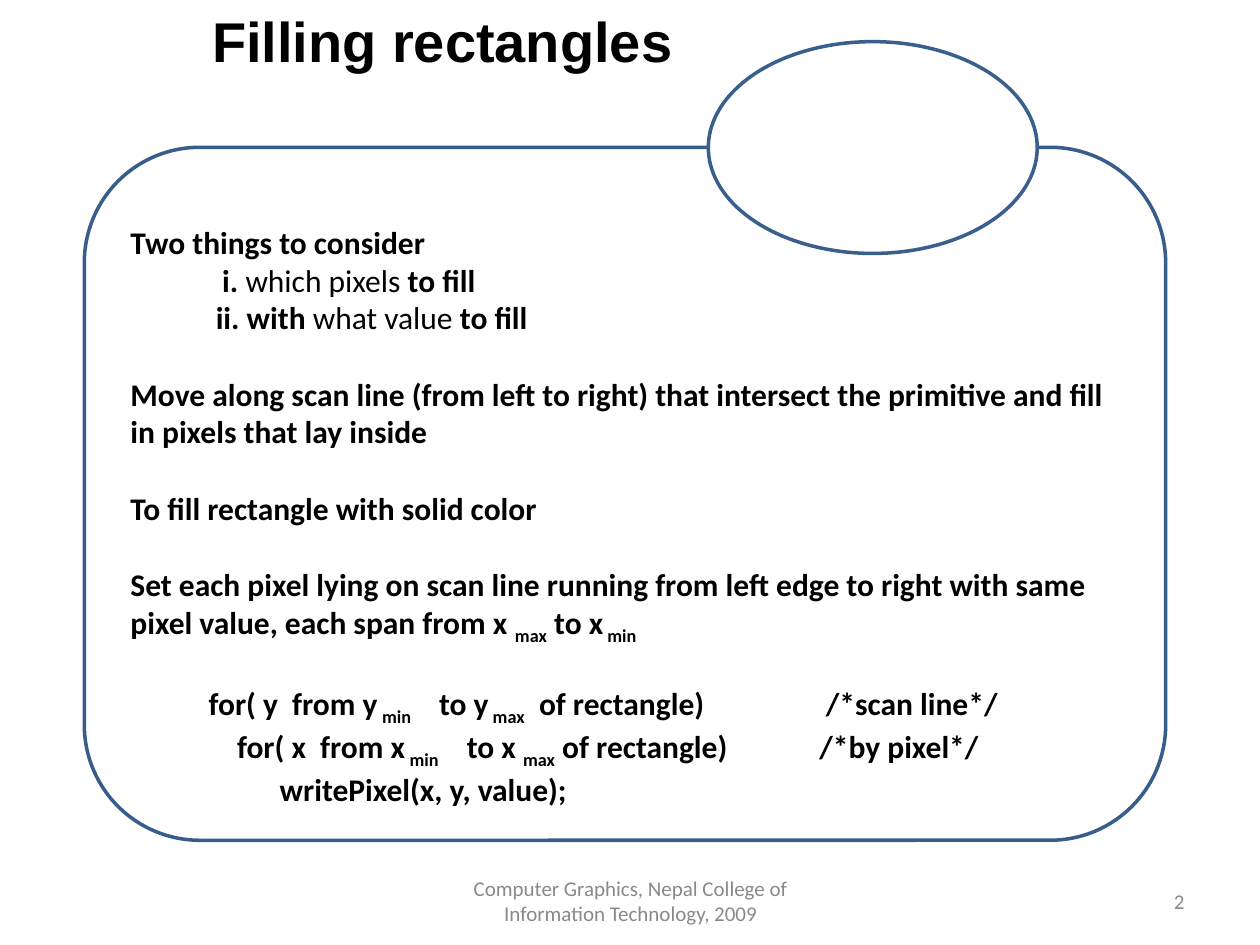
from dataclasses import dataclass

import pptx
import pptx.dml.color
import pptx.enum.shapes
import pptx.enum.text
import pptx.oxml.ns
import pptx.util
from lxml import etree
from pptx.util import Cm, Pt

SHAPE = pptx.enum.shapes.MSO_SHAPE
ANCHOR = pptx.enum.text.MSO_ANCHOR
ALIGN = pptx.enum.text.PP_ALIGN
qn = pptx.oxml.ns.qn


@dataclass(frozen=True)
class Theme:
    ink: str = "000000"
    muted: str = "898989"
    paper: str = "FFFFFF"
    frame: str = "385D8A"
    bubble: str = "3A5F8C"
    heading_font: str = "Arial"
    body_font: str = "Calibri"
    title: int = 32
    body: int = 18
    footer: int = 12
    line: int = 2
    gap: int = 22


THEME = Theme()
BOLD, PLAIN, SUB = "bold", "plain", "sub"

# Each entry: gap above, left indent in cm, tab stops in cm, runs
BODY = [
    (False, 0, [], [("Two things to consider", BOLD)]),
    (False, 1.85, [], [("i. ", BOLD), ("which pixels", PLAIN), (" to fill", BOLD)]),
    (False, 1.72, [], [("ii. with ", BOLD), ("what value", PLAIN), (" to fill", BOLD)]),
    (True, 0, [], [("Move along scan line (from left to right) that intersect "
                    "the primitive and fill in pixels that lay inside", BOLD)]),
    (True, 0, [], [("To fill rectangle with solid color", BOLD)]),
    (True, 0, [], [("Set each pixel lying on scan line running from left edge "
                    "to right with same", BOLD)]),
    (False, 0, [], [("pixel value, each span from x ", BOLD), ("max", SUB),
                    (" to x", BOLD), (" min", SUB)]),
    (True, 0, [6.22, 14.02], [("           for( y  from y", BOLD), (" min", SUB),
                              ("\tto y", BOLD), (" max", SUB),
                              ("  of rectangle)\t/*scan line*/", BOLD)]),
    (False, 0, [6.78, 13.89], [("               for( x  from x", BOLD), (" min", SUB),
                               ("\tto x ", BOLD), ("max", SUB),
                               (" of rectangle)\t/*by pixel*/", BOLD)]),
    (False, 0, [], [("                     writePixel(x, y, value);", BOLD)]),
]


def rgb(value):
    return pptx.dml.color.RGBColor.from_string(value)


def style(r, font, size, color, bold=False):
    r.font.name = font
    r.font.size = Pt(size)
    r.font.bold = bold
    r.font.color.rgb = rgb(color)


def outline(sp, color):
    sp.shadow.inherit = False
    sp.line.color.rgb = rgb(color)
    sp.line.width = Pt(THEME.line)


def add_title(s, box, text):
    sp = s.shapes.title
    sp.left, sp.top, sp.width, sp.height = box
    tf = sp.text_frame
    tf.text = text
    tf.word_wrap = False
    tf.auto_size = pptx.enum.text.MSO_AUTO_SIZE.SHAPE_TO_FIT_TEXT
    tf.vertical_anchor = ANCHOR.TOP
    p = tf.paragraphs[0]
    p.alignment = ALIGN.LEFT
    style(p.runs[0], THEME.heading_font, THEME.title, THEME.ink, True)


def add_body(s, box):
    sp = s.shapes.add_shape(SHAPE.ROUNDED_RECTANGLE, *box)
    sp.fill.background()
    outline(sp, THEME.frame)
    tf = sp.text_frame
    tf.word_wrap = True
    tf.vertical_anchor = ANCHOR.TOP
    tf.margin_top = Cm(0.84)
    for i, (gap, indent, stops, runs) in enumerate(BODY):
        p = tf.add_paragraph() if i else tf.paragraphs[0]
        p.alignment = ALIGN.LEFT
        p.space_before = Pt(THEME.gap if gap else 0)
        pPr = p._p.get_or_add_pPr()
        pPr.set("marL", str(Cm(indent)))
        if stops:
            tabs = etree.SubElement(pPr, qn("a:tabLst"))
            for stop in stops:
                etree.SubElement(tabs, qn("a:tab"), pos=str(Cm(stop)), algn="l")
        for text, kind in runs:
            r = p.add_run()
            r.text = text
            style(r, THEME.body_font, THEME.body, THEME.ink, kind != PLAIN)
            if kind == SUB:
                r._r.get_or_add_rPr().set("baseline", "-25000")


def add_bubble(s, box):
    sp = s.shapes.add_shape(SHAPE.OVAL, *box)
    sp.fill.solid()
    sp.fill.fore_color.rgb = rgb(THEME.paper)
    outline(sp, THEME.bubble)


def add_footer(s, box, text, alignment):
    tf = s.shapes.add_textbox(*box).text_frame
    tf.text = text
    tf.word_wrap = True
    tf.vertical_anchor = ANCHOR.MIDDLE
    p = tf.paragraphs[0]
    p.alignment = alignment
    style(p.runs[0], THEME.body_font, THEME.footer, THEME.muted)


def main():
    prs = pptx.Presentation()
    prs.slide_width, prs.slide_height = Cm(25.4), Cm(19.05)
    s = prs.slides.add_slide(prs.slide_layouts[5])
    add_title(s, (Cm(4.02), Cm(0), Cm(9.88), Cm(1.62)), "Filling rectangles")
    add_body(s, (Cm(1.7), Cm(2.97), Cm(21.8), Cm(13.97)))
    add_bubble(s, (Cm(14.28), Cm(0.84), Cm(6.63), Cm(4.27)))
    add_footer(s, (Cm(8.69), Cm(17.65), Cm(8.05), Cm(1.02)),
               "Computer Graphics, Nepal College of Information Technology, 2009",
               ALIGN.CENTER)
    add_footer(s, (Cm(18.21), Cm(17.65), Cm(5.92), Cm(1.02)), "2", ALIGN.RIGHT)
    prs.save("out.pptx")


if __name__ == "__main__":
    main()
